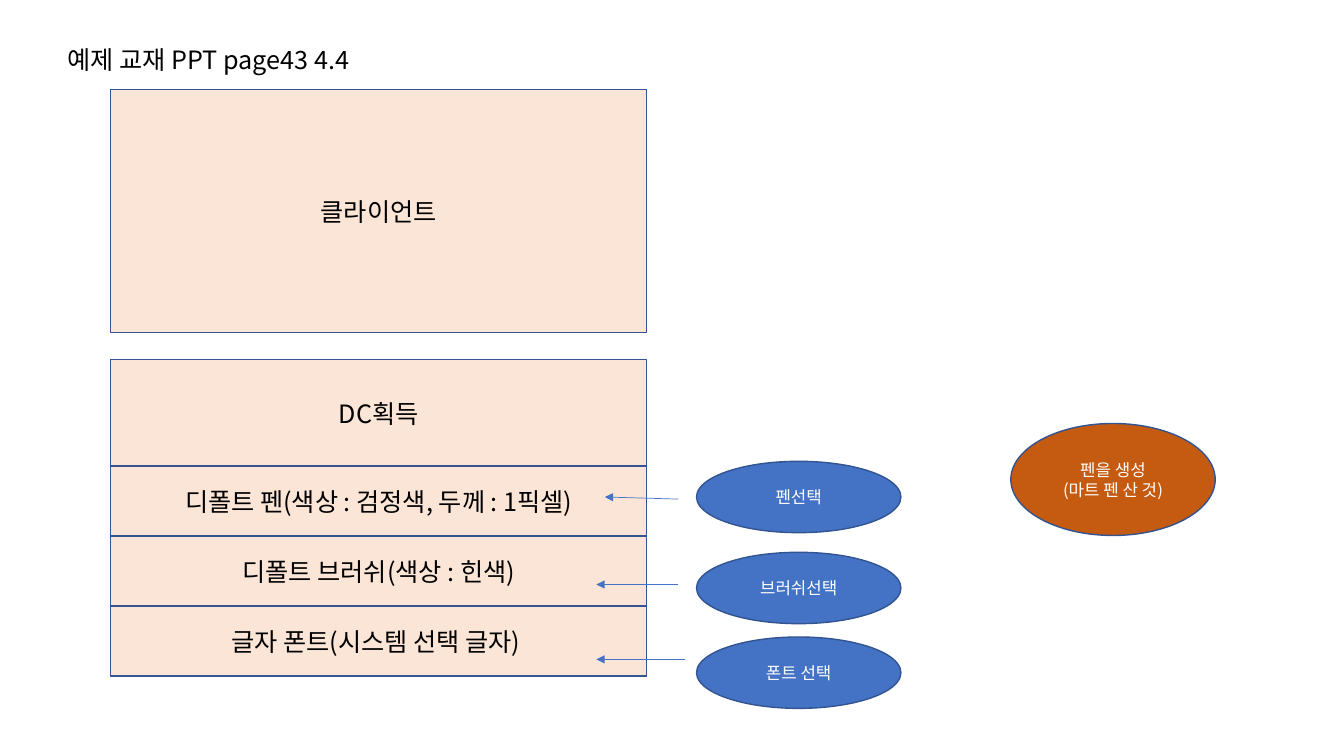
import dataclasses

import lxml.etree
import pptx
import pptx.dml.color
import pptx.enum.shapes
import pptx.enum.text
import pptx.oxml.ns
import pptx.presentation
import pptx.slide
import pptx.text.text
import pptx.util

Pt = pptx.util.Pt
RGBColor = pptx.dml.color.RGBColor
SHAPES = pptx.enum.shapes.MSO_SHAPE

FONT = "Noto Sans CJK KR"
BLACK = RGBColor(0x00, 0x00, 0x00)
WHITE = RGBColor(0xFF, 0xFF, 0xFF)
PEACH = RGBColor(0xFB, 0xE5, 0xD6)
BLUE = RGBColor(0x44, 0x72, 0xC4)
ORANGE = RGBColor(0xC5, 0x5A, 0x11)
OUTLINE = RGBColor(0x32, 0x54, 0x91)

PANEL_LEFT, PANEL_WIDTH = 79, 383
CLIENT_TOP, CLIENT_HEIGHT = 64, 173.5
DC_TOP, DC_HEIGHT = 257, 76
DEFAULT_HEIGHT = 50
OVAL_WIDTH = 146
SELECT_LEFT, SELECT_HEIGHT = 497.5, 51


@dataclasses.dataclass(frozen=True)
class Node:
    """A filled, outlined shape with centred text; lengths in points."""

    text: str
    left: float
    top: float
    width: float
    height: float
    fill: RGBColor = PEACH
    preset: SHAPES = SHAPES.RECTANGLE
    size: float = 18
    color: RGBColor = BLACK


@dataclasses.dataclass(frozen=True)
class Arrow:
    """An arrow from a selection towards a default; lengths in points."""

    start_x: float
    start_y: float
    end_x: float
    end_y: float


def panel(text: str, top: float, height: float) -> Node:
    """Describe a box of the left column."""
    return Node(text, PANEL_LEFT, top, PANEL_WIDTH, height)


def oval(text: str, left: float, top: float, height: float, fill: RGBColor) -> Node:
    """Describe an oval with small white text."""
    return Node(text, left, top, OVAL_WIDTH, height, fill, SHAPES.OVAL, 12, WHITE)


DEFAULTS = (
    "디폴트 펜(색상 : 검정색, 두께 : 1픽셀)",
    "디폴트 브러쉬(색상 : 힌색)",
    "글자 폰트(시스템 선택 글자) ",
)
SELECTIONS = (("펜선택", 329.5), ("브러쉬선택", 394.5), ("폰트 선택", 455))

NODES = [
    panel("클라이언트", CLIENT_TOP, CLIENT_HEIGHT),
    panel("DC획득", DC_TOP, DC_HEIGHT),
    *(
        panel(text, DC_TOP + DC_HEIGHT + row * DEFAULT_HEIGHT, DEFAULT_HEIGHT)
        for row, text in enumerate(DEFAULTS)
    ),
    *(oval(text, SELECT_LEFT, top, SELECT_HEIGHT, BLUE) for text, top in SELECTIONS),
    oval("펜을 생성\n(마트 펜 산 것)", 722, 302.5, 80, ORANGE),
]
ARROWS = [
    Arrow(484.5, 356.5, 432, 355),
    Arrow(484.5, 417.5, 426, 417.5),
    Arrow(489.5, 471, 426, 471),
]


def format_paragraph(
    paragraph: pptx.text.text._Paragraph,
    size: float,
    color: RGBColor,
    alignment: pptx.enum.text.PP_ALIGN,
) -> None:
    """Set alignment and font, for Latin and East Asian letters alike."""
    paragraph.alignment = alignment
    font = paragraph.font
    font.size = Pt(size)
    font.color.rgb = color
    font.name = FONT
    latin = font._element.find(pptx.oxml.ns.qn("a:latin"))
    east_asian = lxml.etree.Element(pptx.oxml.ns.qn("a:ea"), typeface=FONT)
    latin.addnext(east_asian)


def add_title(slide: pptx.slide.Slide, text: str) -> None:
    """Place and format the title placeholder."""
    title = slide.shapes.title
    title.left, title.top, title.width, title.height = Pt(41), Pt(28), Pt(228), Pt(29)
    frame = title.text_frame
    frame.text = text
    frame.word_wrap = False
    frame.auto_size = pptx.enum.text.MSO_AUTO_SIZE.NONE
    frame.vertical_anchor = pptx.enum.text.MSO_ANCHOR.TOP
    heading = frame.paragraphs[0]
    heading.line_spacing = 1.0
    heading.space_before = Pt(0)
    format_paragraph(heading, 18, BLACK, pptx.enum.text.PP_ALIGN.LEFT)


def add_node(slide: pptx.slide.Slide, node: Node) -> None:
    """Draw a box or an oval with its text."""
    shape = slide.shapes.add_shape(
        node.preset, Pt(node.left), Pt(node.top), Pt(node.width), Pt(node.height)
    )
    shape.shadow.inherit = False
    shape.fill.solid()
    shape.fill.fore_color.rgb = node.fill
    shape.line.color.rgb = OUTLINE
    shape.line.width = Pt(1)
    frame = shape.text_frame
    frame.text = node.text
    frame.word_wrap = True
    frame.vertical_anchor = pptx.enum.text.MSO_ANCHOR.MIDDLE
    for paragraph in frame.paragraphs:
        format_paragraph(
            paragraph, node.size, node.color, pptx.enum.text.PP_ALIGN.CENTER
        )


def add_arrow(slide: pptx.slide.Slide, arrow: Arrow) -> None:
    """Draw a thin line with a triangle at its end."""
    connector = slide.shapes.add_connector(
        pptx.enum.shapes.MSO_CONNECTOR.STRAIGHT,
        Pt(arrow.start_x), Pt(arrow.start_y), Pt(arrow.end_x), Pt(arrow.end_y),
    )
    connector.line.color.rgb = BLUE
    connector.line.width = Pt(0.5)
    qn = pptx.oxml.ns.qn
    line = connector.line._get_or_add_ln()
    lxml.etree.SubElement(line, qn("a:tailEnd"), type="triangle")
    lxml.etree.SubElement(connector._element.spPr, qn("a:effectLst"))


def build() -> pptx.presentation.Presentation:
    """Build the one-slide presentation."""
    presentation = pptx.Presentation()
    presentation.slide_width, presentation.slide_height = Pt(960), Pt(540)
    title_only = presentation.slide_layouts.get_by_name("Title Only")
    slide = presentation.slides.add_slide(title_only)
    add_title(slide, "예제 교재 PPT page43 4.4")
    for node in NODES:
        add_node(slide, node)
    for arrow in ARROWS:
        add_arrow(slide, arrow)
    return presentation


build().save("out.pptx")
